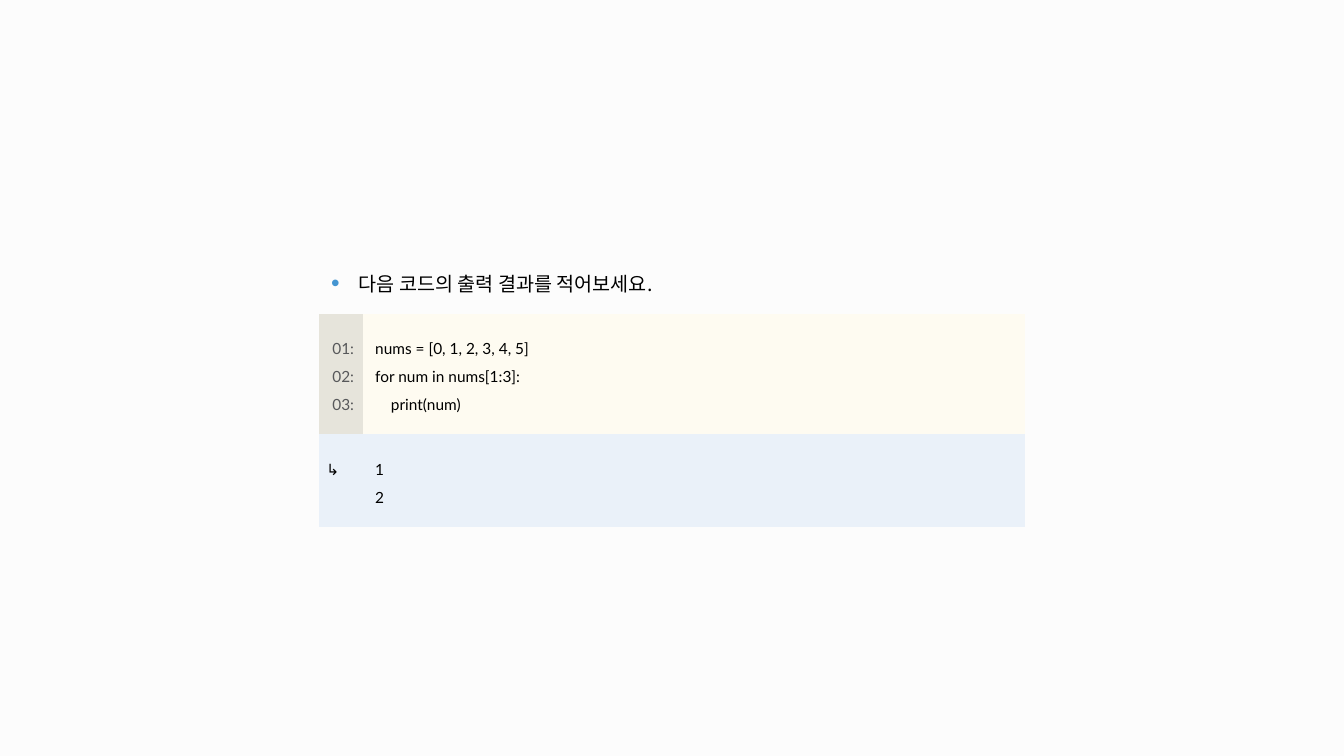
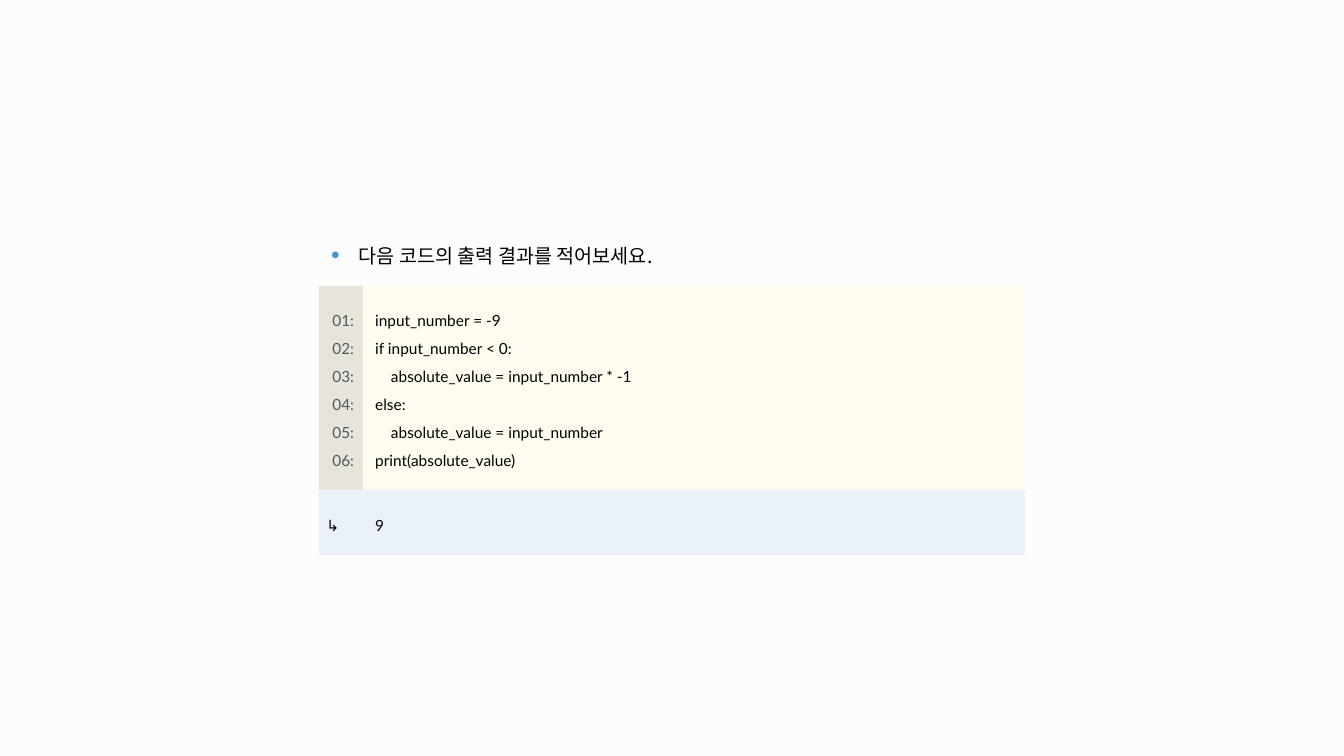
from dataclasses import dataclass

from lxml import etree
from pptx import Presentation
from pptx import slide as slides
from pptx import table as tables
from pptx import util as u
from pptx.dml.color import RGBColor
from pptx.enum import text
from pptx.oxml import ns

BACKGROUND = RGBColor(0xFC, 0xFC, 0xFC)
BLACK = RGBColor(0x00, 0x00, 0x00)
NUMBER_GREY = RGBColor(0x57, 0x58, 0x5A)
GUTTER_FILL = RGBColor(0xE6, 0xE4, 0xDB)
CODE_FILL = RGBColor(0xFE, 0xFB, 0xF1)
OUTPUT_FILL = RGBColor(0xEA, 0xF1, 0xF9)
BULLET_BLUE = RGBColor(0x44, 0x95, 0xD1)

SLIDE_WIDTH = 33.87
SLIDE_HEIGHT = 19.05
COLUMN_WIDTHS = (1.11, 16.67)
TABLE_MIDDLE = 9.77
QUESTION_HEIGHT = 1.59
LINE_HEIGHT = 0.7
ROW_PADDING = 0.91
BULLET_INDENT = 0.69
QUESTION = "다음 코드의 출력 결과를 적어보세요."


@dataclass(frozen=True)
class Exercise:
    code: tuple[str, ...]
    output: tuple[str, ...]


@dataclass(frozen=True)
class CellStyle:
    margins: tuple[float, float, float, float]
    fill: RGBColor | None = None
    color: RGBColor = BLACK
    font: str = "Lato"
    size: int = 11
    anchor: text.MSO_ANCHOR = text.MSO_ANCHOR.MIDDLE
    align: text.PP_ALIGN = text.PP_ALIGN.LEFT


CODE_MARGINS = (0.3, 0.41, 0, 0.51)
QUESTION_STYLE = CellStyle((0.3, 0.1, 0, 0.41), font="Noto Sans CJK KR", size=14)
NUMBER_STYLE = CellStyle((0.1, 0.1, 0, 0.2), GUTTER_FILL, NUMBER_GREY, align=text.PP_ALIGN.CENTER)
CODE_STYLE = CellStyle(CODE_MARGINS, CODE_FILL)
ARROW_STYLE = CellStyle((0.18, 0.41, 0, 0.51), OUTPUT_FILL, anchor=text.MSO_ANCHOR.TOP)
OUTPUT_STYLE = CellStyle(CODE_MARGINS, OUTPUT_FILL)

EXERCISES = (
    Exercise(
        ("nums = [0, 1, 2, 3, 4, 5]", "for num in nums[1:3]:", "    print(num)"),
        ("1", "2"),
    ),
    Exercise(
        (
            "input_number = -9",
            "if input_number < 0:",
            "    absolute_value = input_number * -1",
            "else:",
            "    absolute_value = input_number",
            "print(absolute_value)",
        ),
        ("9",),
    ),
)


def hide_borders(cell: tables._Cell) -> None:
    properties = cell._tc.get_or_add_tcPr()
    for index, side in enumerate(("lnL", "lnR", "lnT", "lnB")):
        border = etree.Element(ns.qn(f"a:{side}"), w="0")
        etree.SubElement(border, ns.qn("a:noFill"))
        properties.insert(index, border)


def add_bullet(paragraph: text) -> None:
    properties = paragraph._p.get_or_add_pPr()
    indent = u.Cm(BULLET_INDENT)
    properties.set("marL", str(indent))
    properties.set("indent", str(-indent))
    bullet_color = etree.SubElement(properties, ns.qn("a:buClr"))
    etree.SubElement(bullet_color, ns.qn("a:srgbClr"), val=str(BULLET_BLUE))
    etree.SubElement(properties, ns.qn("a:buSzPct"), val="125000")
    etree.SubElement(properties, ns.qn("a:buFont"), typeface="Arial")
    etree.SubElement(properties, ns.qn("a:buChar"), char="•")


def fill_cell(cell: tables._Cell, lines: tuple[str, ...], style: CellStyle, bulleted: bool = False) -> None:
    left, top, right, bottom = style.margins
    cell.margin_left, cell.margin_top = u.Cm(left), u.Cm(top)
    cell.margin_right, cell.margin_bottom = u.Cm(right), u.Cm(bottom)
    cell.vertical_anchor = style.anchor
    if style.fill is None:
        cell.fill.background()
    else:
        cell.fill.solid()
        cell.fill.fore_color.rgb = style.fill
    hide_borders(cell)
    cell.text_frame.text = "\n".join(lines)
    for paragraph in cell.text_frame.paragraphs:
        if bulleted:
            add_bullet(paragraph)
        paragraph.alignment = style.align
        paragraph.line_spacing = 1.5
        for run in paragraph.runs:
            run.font.name = style.font
            run.font.size = u.Pt(style.size)
            run.font.bold = False
            run.font.color.rgb = style.color
            etree.SubElement(run.font._element, ns.qn("a:ea"), typeface=style.font)


def add_exercise(slide: slides.Slide, exercise: Exercise) -> None:
    heights = [QUESTION_HEIGHT] + [
        len(lines) * LINE_HEIGHT + ROW_PADDING for lines in (exercise.code, exercise.output)
    ]
    width, height = sum(COLUMN_WIDTHS), sum(heights)
    frame = slide.shapes.add_table(
        len(heights), len(COLUMN_WIDTHS),
        u.Cm((SLIDE_WIDTH - width) / 2), u.Cm(TABLE_MIDDLE - height / 2),
        u.Cm(width), u.Cm(height),
    )
    table = frame.table
    table.first_row = False
    table.horz_banding = False
    for column, column_width in zip(table.columns, COLUMN_WIDTHS):
        column.width = u.Cm(column_width)
    for row, row_height in zip(table.rows, heights):
        row.height = u.Cm(row_height)

    numbers = tuple(f"{number:02}:" for number in range(1, len(exercise.code) + 1))
    table.cell(0, 0).merge(table.cell(0, 1))
    hide_borders(table.cell(0, 1))
    fill_cell(table.cell(0, 0), (QUESTION,), QUESTION_STYLE, bulleted=True)
    fill_cell(table.cell(1, 0), numbers, NUMBER_STYLE)
    fill_cell(table.cell(1, 1), exercise.code, CODE_STYLE)
    fill_cell(table.cell(2, 0), ("↳",), ARROW_STYLE)
    fill_cell(table.cell(2, 1), exercise.output, OUTPUT_STYLE)


def main() -> None:
    presentation = Presentation()
    presentation.slide_width = u.Cm(SLIDE_WIDTH)
    presentation.slide_height = u.Cm(SLIDE_HEIGHT)
    background = presentation.slide_master.background.fill
    background.solid()
    background.fore_color.rgb = BACKGROUND
    blank_layout = presentation.slide_layouts[6]
    for exercise in EXERCISES:
        add_exercise(presentation.slides.add_slide(blank_layout), exercise)
    presentation.save("out.pptx")


if __name__ == "__main__":
    main()
